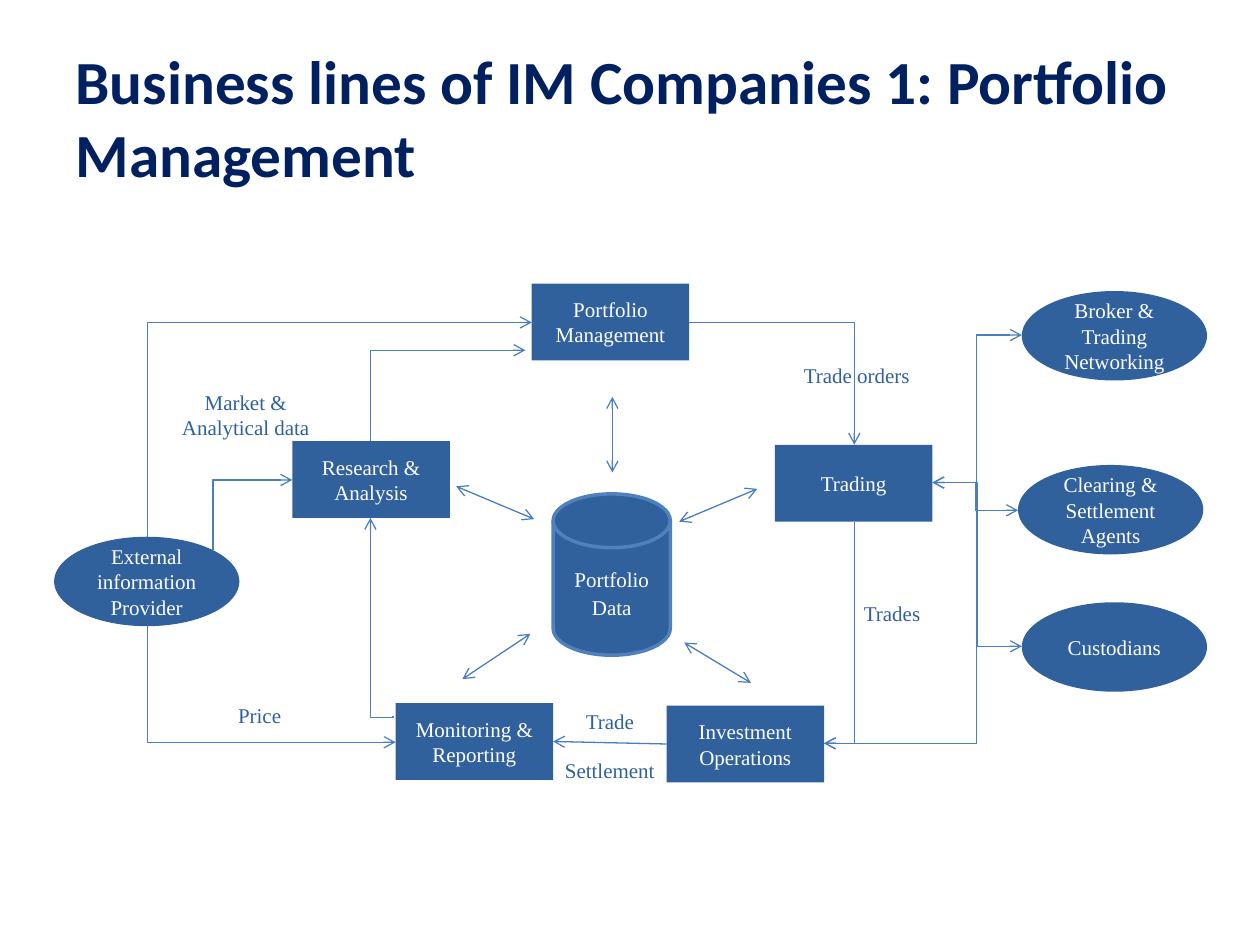
from lxml import etree
from pptx import Presentation
from pptx.enum import shapes, text
from pptx.oxml.ns import qn
from pptx.util import Inches, Pt
from pptx.dml.color import RGBColor

COLOURS = {"title": "002060", "node": "30619C", "edge": "4B7EBC",
           "rim": "4F81BD", "light": "FFFFFF"}
TOP, LEFT, BOTTOM, RIGHT = range(4)


def colour(name):
    return RGBColor.from_string(COLOURS[name])


def write(frame, paras, size=12, font="Times New Roman", ink="light", bold=False,
          align=text.PP_ALIGN.CENTER, anchor=text.MSO_ANCHOR.MIDDLE, gap=0):
    """Fill a frame; a paragraph is a string or a list of (string, size) spans."""
    frame.word_wrap = True
    frame.vertical_anchor = anchor
    for index, content in enumerate(paras):
        para = frame.paragraphs[0] if index == 0 else frame.add_paragraph()
        para.alignment = align
        if index and gap:
            para.space_before = Pt(gap)
        spans = [(content, size)] if isinstance(content, str) else content
        for words, points in spans:
            span = para.add_run()
            span.text = words
            span.font.size, span.font.name, span.font.bold = Pt(points), font, bold
            span.font.color.rgb = colour(ink)


class Diagram:
    """Holds the current page and the look of its elements."""
    box_size = (1.25, 0.61)
    oval_size = (1.47, 0.71)
    edge_width = 0.75

    def __init__(self, deck):
        self.page = deck.slides.add_slide(deck.slide_layouts[5])

    def title(self, words):
        box = self.page.shapes.title
        box.left, box.top, box.width, box.height = map(Inches, (0.5, 0.3, 9, 1.25))
        write(box.text_frame, [words], size=35, font="Calibri", ink="title",
              bold=True, align=text.PP_ALIGN.LEFT)
        box.text_frame.auto_size = text.MSO_AUTO_SIZE.NONE

    def node(self, kind, left, top, size, paras, rim=None):
        shape = self.page.shapes.add_shape(kind, *map(Inches, (left, top, *size)))
        shape.shadow.inherit = False
        shape.fill.solid()
        shape.fill.fore_color.rgb = colour("node")
        if rim:
            shape.line.color.rgb = colour("rim")
            shape.line.width = Pt(rim)
        else:
            shape.line.fill.background()
        write(shape.text_frame, paras)
        return shape

    def box(self, left, top, *paras):
        return self.node(shapes.MSO_SHAPE.RECTANGLE, left, top, self.box_size, paras)

    def oval(self, left, top, *paras):
        return self.node(shapes.MSO_SHAPE.OVAL, left, top, self.oval_size, paras)

    def label(self, left, top, height, *paras, gap=0):
        box = self.page.shapes.add_textbox(*map(Inches, (left, top, 1.32, height)))
        write(box.text_frame, paras, ink="node", anchor=text.MSO_ANCHOR.TOP, gap=gap)

    def edge(self, start, end, both=False, kind=shapes.MSO_CONNECTOR.STRAIGHT):
        line = self.page.shapes.add_connector(kind, *map(Inches, (*start, *end)))
        line.line.color.rgb = colour("edge")
        line.line.width = Pt(self.edge_width)
        outline = line.line._get_or_add_ln()
        for tag in ("a:headEnd", "a:tailEnd") if both else ("a:tailEnd",):
            etree.SubElement(outline, qn(tag), type="arrow")
        etree.SubElement(line._element.spPr, qn("a:effectLst"))
        return line

    def elbow(self, start, end, bend=None, upright=False, both=False):
        """One corner, or two when bend gives the turning point as a fraction.

        An upright elbow leaves vertically: it is laid flat about its middle
        and then turned by a quarter.
        """
        (x1, y1), (x2, y2) = start, end
        if upright:
            mid_x, mid_y = (x1 + x2) / 2, (y1 + y2) / 2
            half_w, half_h = (y2 - y1) / 2, (x2 - x1) / 2
            start = (mid_x - half_w, mid_y + half_h)
            end = (mid_x + half_w, mid_y - half_h)
        line = self.edge(start, end, both, shapes.MSO_CONNECTOR.ELBOW)
        props = line._element.spPr
        if upright:
            props.find(qn("a:xfrm")).set("rot", str(90 * 60000))
        preset = props.find(qn("a:prstGeom"))
        if bend is None:
            preset.set("prst", "bentConnector2")
        else:
            guides = preset.find(qn("a:avLst"))
            if guides is None:
                guides = etree.SubElement(preset, qn("a:avLst"))
            etree.SubElement(guides, qn("a:gd"), name="adj1",
                             fmla=f"val {round(bend * 100000)}")


def main():
    deck = Presentation()
    deck.slide_width, deck.slide_height = Inches(10), Inches(7.5)
    diagram = Diagram(deck)
    diagram.title("Business lines of IM Companies 1: Portfolio Management")

    # Departments
    diagram.box(4.22, 2.25, "Portfolio", "Management")
    diagram.box(2.32, 3.5, "Research &", "Analysis")
    diagram.box(6.15, 3.53, "Trading")
    monitoring = diagram.box(3.14, 5.58, "Monitoring &", "Reporting")
    operations = diagram.box(5.29, 5.6, "Investment", "Operations")

    # Outside parties
    diagram.oval(0.43, 4.26, "External information Provider")
    diagram.oval(8.11, 2.31, "Broker &", "Trading", "Networking")
    diagram.oval(8.08, 3.69, "Clearing & Settlement", "Agents")
    diagram.oval(8.11, 4.78, "Custodians")

    # Central data store and its two-way links
    diagram.node(shapes.MSO_SHAPE.FLOWCHART_MAGNETIC_DISK, 4.39, 3.92, (0.93, 1.28),
                 [[("Portfolio", 12), (" ", 18), ("Data", 12)]], rim=2)
    for start, end in (((3.62, 3.86), (4.24, 4.12)), ((5.39, 4.14), (6.01, 3.88)),
                       ((4.21, 5.03), (3.67, 5.39)), ((4.86, 3.15), (4.86, 3.75)),
                       ((5.43, 5.1), (5.96, 5.42))):
        diagram.edge(start, end, both=True)

    # Flows between departments
    diagram.elbow((5.47, 2.56), (6.78, 3.53))
    for start, end in (((6.78, 4.14), (6.54, 5.9)), ((1.17, 4.97), (3.14, 5.89)),
                       ((1.69, 4.37), (2.32, 3.81)), ((1.17, 4.26), (4.22, 2.56)),
                       ((2.94, 3.5), (4.17, 2.78))):
        diagram.elbow(start, end, upright=True)
    diagram.elbow((3.12, 5.68), (2.94, 4.11), bend=-0.01, upright=True)
    settlement = diagram.edge((5.29, 5.9), (4.39, 5.89))
    settlement.begin_connect(operations, LEFT)
    settlement.end_connect(monitoring, RIGHT)

    # Flow labels
    diagram.label(1.29, 3.04, 0.51, "Market & Analytical data")
    diagram.label(6.14, 2.83, 0.3, "Trade orders")
    diagram.label(6.42, 4.72, 0.3, "Trades")
    diagram.label(1.4, 5.53, 0.3, "Price")
    diagram.label(4.18, 5.57, 0.71, "Trade", "Settlement", gap=14)

    # Two-way links to outside parties
    diagram.elbow((7.4, 3.83), (8.11, 5.13), bend=0.5, both=True)
    diagram.elbow((6.54, 5.9), (8.11, 2.66), bend=0.77, both=True)
    diagram.elbow((7.4, 3.83), (8.08, 4.05), bend=0.5, both=True)

    deck.save("out.pptx")


if __name__ == "__main__":
    main()
